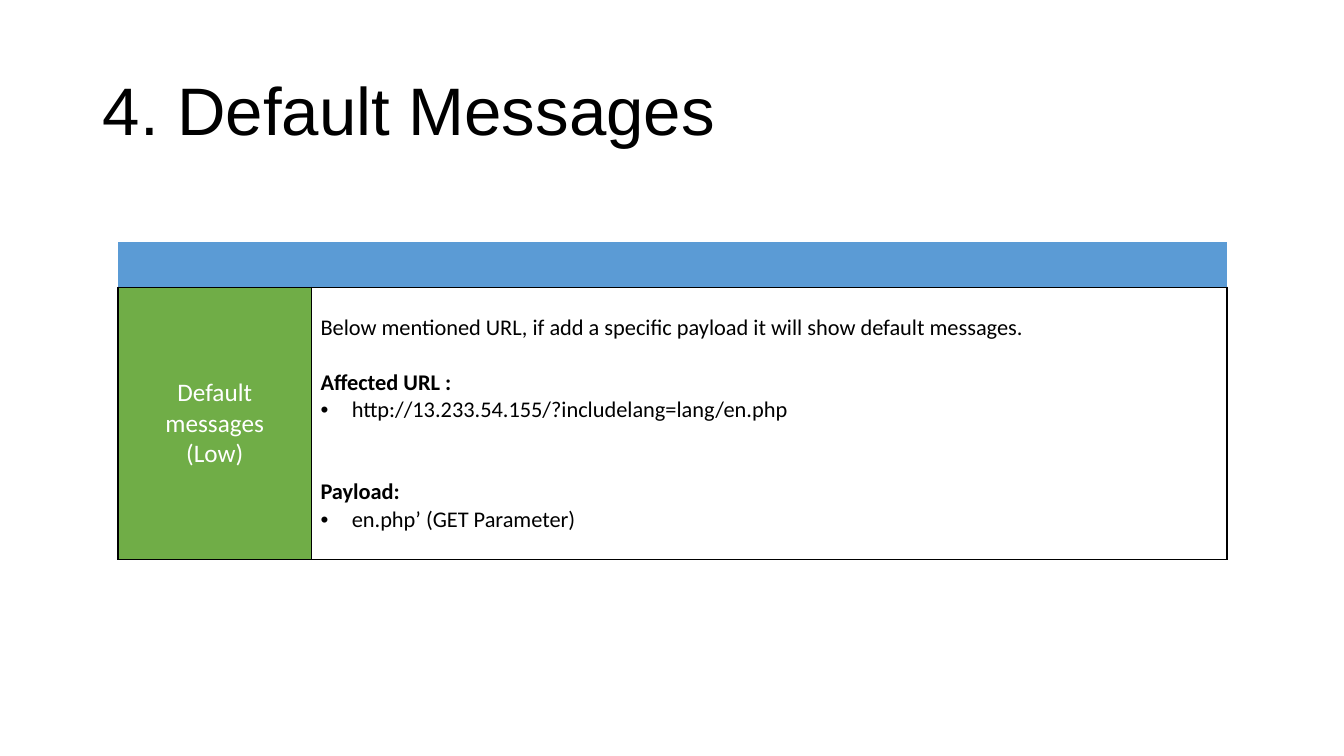
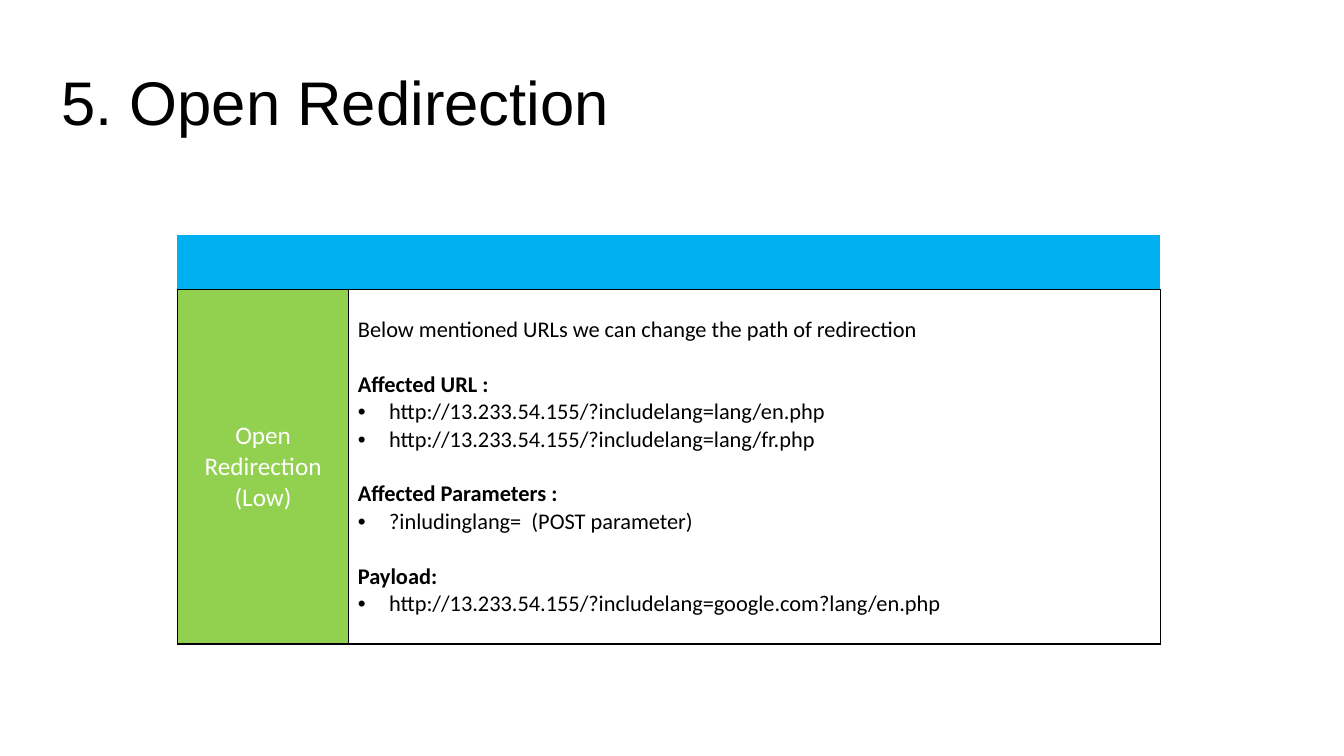
from pptx import Presentation
from pptx.dml.color import RGBColor
from pptx.enum.text import MSO_ANCHOR, PP_ALIGN
from pptx.oxml.ns import qn
from pptx.oxml.xmlchemy import OxmlElement
from pptx.util import Inches, Pt

BLACK, WHITE = "000000", "FFFFFF"
TITLE_FONT, BODY_FONT = "Arial", "Calibri"
BODY_SIZE, LABEL_SIZE = 16, 18
LINE_GAP = 19.5  # points in one line of body text
NO_GRID_STYLE = "{2D5ABB26-0587-4C30-8999-92F81FD0307C}"

# Each section: heading, bullets, empty lines above the heading.
FINDINGS = [
    {
        "title": "4. Default Messages", "title_size": 48,
        "title_box": (0.92, 0.4, 11.5, 1.45),
        "table_at": (1.17, 2.4), "columns": (1.92, 9.08), "rows": (0.45, 2.7),
        "header_fill": "5B9BD5", "label_fill": "70AD47",
        "label": ["Default messages", "(Low)"],
        "summary": "Below mentioned URL, if add a specific payload it will show default messages.",
        "sections": [
            ("Affected URL :", ["http://13.233.54.155/?includelang=lang/en.php"], 1),
            ("Payload:", ["en.php’ (GET Parameter)"], 2),
        ],
    },
    {
        "title": "5. Open Redirection", "title_size": 44,
        "title_box": (0.51, 0.4, 11.9, 1.29),
        "table_at": (1.76, 2.33), "columns": (1.7, 8.05), "rows": (0.54, 3.52),
        "header_fill": "00B0F0", "label_fill": "92D050",
        "label": ["Open Redirection", "(Low)"],
        "summary": "Below mentioned URLs we can change the path of redirection",
        "sections": [
            ("Affected URL :", ["http://13.233.54.155/?includelang=lang/en.php",
                                "http://13.233.54.155/?includelang=lang/fr.php"], 1),
            ("Affected Parameters :", ["?inludinglang=  (POST parameter)"], 1),
            ("Payload:", ["http://13.233.54.155/?includelang=google.com?lang/en.php"], 1),
        ],
    },
]


def color(hex_string):
    return RGBColor.from_string(hex_string)


def style(paragraph, font_name, size, hex_color, bold=False):
    font = paragraph.font
    font.name, font.size, font.bold = font_name, Pt(size), bold
    font.color.rgb = color(hex_color)


def next_paragraph(frame):
    """Return the empty first paragraph, or a new one after the text."""
    first = frame.paragraphs[0]
    return frame.add_paragraph() if first.runs else first


def add_bullet(paragraph):
    properties = paragraph._p.get_or_add_pPr()
    properties.set("marL", str(Inches(0.31)))
    properties.set("indent", str(-Inches(0.31)))
    for tag, name, value in (("a:buFont", "typeface", "Arial"), ("a:buChar", "char", "•")):
        element = OxmlElement(tag)
        element.set(name, value)
        properties.append(element)


def add_borders(cell):
    properties = cell._tc.get_or_add_tcPr()
    for side in ("L", "R", "T", "B"):
        line = OxmlElement(f"a:ln{side}")
        line.set("w", str(Pt(1)))
        fill = OxmlElement("a:solidFill")
        line_color = OxmlElement("a:srgbClr")
        line_color.set("val", BLACK)
        fill.append(line_color)
        line.append(fill)
        properties.append(line)


def fill_cell(cell, hex_color):
    cell.fill.solid()
    cell.fill.fore_color.rgb = color(hex_color)
    cell.margin_left = cell.margin_right = Inches(0.09)
    cell.margin_top = cell.margin_bottom = Inches(0.05)


def add_title(slide, finding):
    box = slide.shapes.add_textbox(*map(Inches, finding["title_box"]))
    frame = box.text_frame
    frame.word_wrap = True
    frame.vertical_anchor = MSO_ANCHOR.MIDDLE
    paragraph = frame.paragraphs[0]
    paragraph.text = finding["title"]
    paragraph.line_spacing = 0.9
    style(paragraph, TITLE_FONT, finding["title_size"], BLACK)


def write_label(cell, lines):
    cell.vertical_anchor = MSO_ANCHOR.MIDDLE
    for line in lines:
        paragraph = next_paragraph(cell.text_frame)
        paragraph.text = line
        paragraph.alignment = PP_ALIGN.CENTER
        style(paragraph, BODY_FONT, LABEL_SIZE, WHITE)


def write_details(cell, summary, sections):
    cell.margin_top = Inches(0.27)
    lines = [(summary, "plain", 0)]
    for heading, bullets, gap in sections:
        lines.append((heading, "heading", gap))
        lines += [(bullet, "bullet", 0) for bullet in bullets]
    for text, kind, gap in lines:
        paragraph = next_paragraph(cell.text_frame)
        paragraph.text = text
        if gap:
            paragraph.space_before = Pt(gap * LINE_GAP)
        if kind == "bullet":
            add_bullet(paragraph)
        style(paragraph, BODY_FONT, BODY_SIZE, BLACK, kind == "heading")


def add_finding_table(slide, finding):
    columns, rows = finding["columns"], finding["rows"]
    left, top = finding["table_at"]
    frame = slide.shapes.add_table(len(rows), len(columns), Inches(left), Inches(top),
                                   Inches(sum(columns)), Inches(sum(rows)))
    table = frame.table
    table._tbl.tblPr.find(qn("a:tableStyleId")).text = NO_GRID_STYLE
    table.first_row = table.horz_banding = False
    for column, width in zip(table.columns, columns):
        column.width = Inches(width)
    for row, height in zip(table.rows, rows):
        row.height = Inches(height)

    for header in table.rows[0].cells:
        fill_cell(header, finding["header_fill"])
    label, details = table.rows[1].cells
    for cell, hex_color in ((label, finding["label_fill"]), (details, WHITE)):
        add_borders(cell)
        fill_cell(cell, hex_color)
    write_label(label, finding["label"])
    write_details(details, finding["summary"], finding["sections"])


def main():
    presentation = Presentation()
    presentation.slide_width, presentation.slide_height = Inches(13.33), Inches(7.5)
    for finding in FINDINGS:
        slide = presentation.slides.add_slide(presentation.slide_layouts[6])
        add_title(slide, finding)
        add_finding_table(slide, finding)
    presentation.save("out.pptx")


if __name__ == "__main__":
    main()
